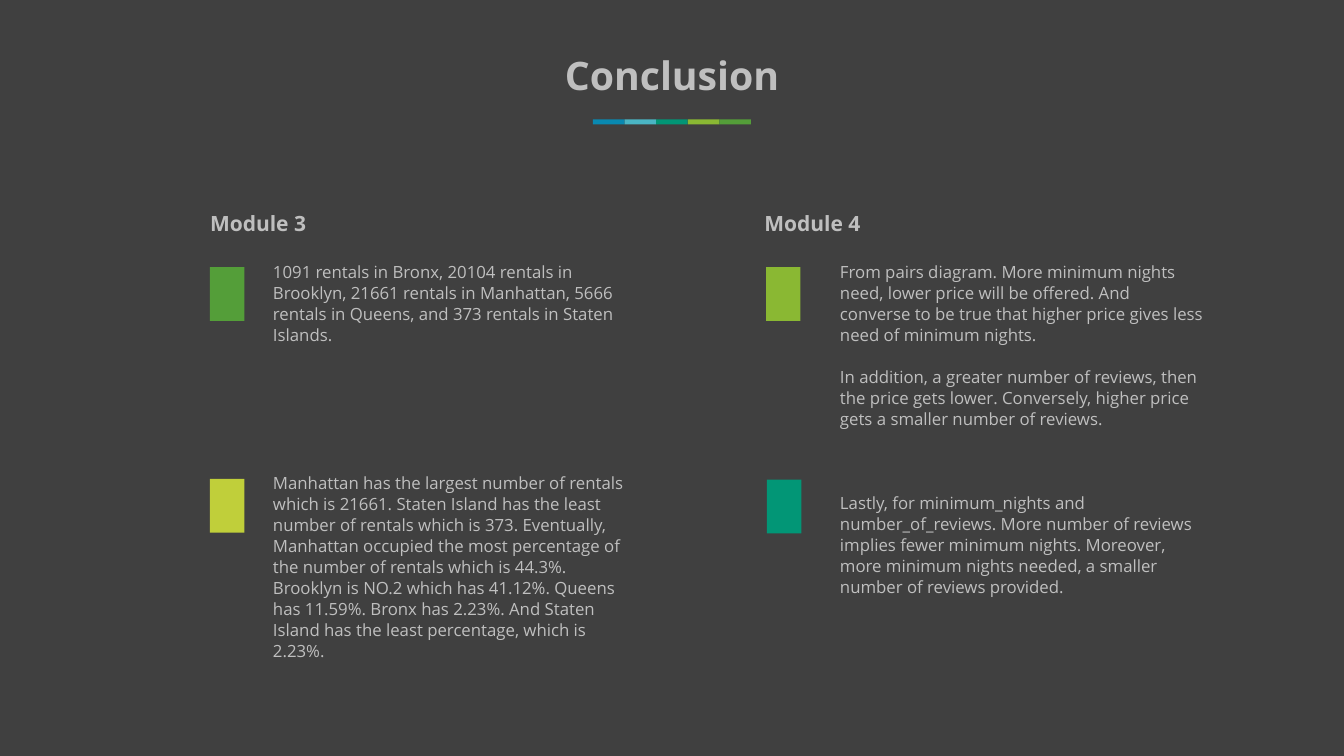
from dataclasses import dataclass

from pptx import Presentation
from pptx.dml.color import RGBColor
from pptx.enum.shapes import MSO_SHAPE
from pptx.enum.text import MSO_ANCHOR, MSO_AUTO_SIZE, PP_ALIGN
from pptx.oxml.ns import qn
from pptx.util import Inches, Pt

RECTANGLE = MSO_SHAPE.RECTANGLE
TOP, MIDDLE = MSO_ANCHOR.TOP, MSO_ANCHOR.MIDDLE
LEFT, CENTER = PP_ALIGN.LEFT, PP_ALIGN.CENTER
NO_AUTOFIT = MSO_AUTO_SIZE.NONE

WIDTH, HEIGHT = Inches(13.333), Inches(7.5)
COLUMNS, ROWS = 16, 9
COMPARISON_LAYOUT = 4


@dataclass(frozen=True)
class Theme:
    font: str = "Open Sans"
    background: str = "404040"
    text: str = "BFBFBF"
    blue: str = "0989B1"
    sky: str = "4AB5C4"
    teal: str = "029676"
    lime: str = "8AB833"
    green: str = "549E39"
    yellow: str = "C0CF3A"
    title_size: int = 28
    heading_size: int = 15
    body_size: int = 12
    line_height: int = 15


THEME = Theme()

BRONX_TO_STATEN = (
    "1091 rentals in Bronx, 20104 rentals in Brooklyn, 21661 rentals in "
    "Manhattan, 5666 rentals in Queens, and 373 rentals in Staten Islands."
)
SHARES = (
    "Manhattan has the largest number of rentals which is 21661. Staten Island "
    "has the least number of rentals which is 373. Eventually, Manhattan "
    "occupied the most percentage of the number of rentals which is 44.3%. "
    "Brooklyn is NO.2 which has 41.12%. Queens has 11.59%. Bronx has 2.23%. "
    "And Staten Island has the least percentage, which is 2.23%."
)
PAIRS = (
    "From pairs diagram. More minimum nights need, lower price will be offered. "
    "And converse to be true that higher price gives less need of minimum nights."
)
REVIEWS = (
    "In addition, a greater number of reviews, then the price gets lower. "
    "Conversely, higher price gets a smaller number of reviews."
)
NIGHTS = (
    "Lastly, for minimum_nights and number_of_reviews. More number of reviews "
    "implies fewer minimum nights. Moreover, more minimum nights needed, a "
    "smaller number of reviews provided."
)


def grid(column, row, columns, rows):
    return (
        round(WIDTH * column / COLUMNS),
        round(HEIGHT * row / ROWS),
        round(WIDTH * columns / COLUMNS),
        round(HEIGHT * rows / ROWS),
    )


def place(shape, box):
    shape.left, shape.top, shape.width, shape.height = box


def add_block(shapes, box, color):
    block = shapes.add_shape(RECTANGLE, *box)
    block.shadow.inherit = False
    block.fill.solid()
    block.fill.fore_color.rgb = RGBColor.from_string(color)
    block.line.fill.background()


def prepare_frame(shape, anchor):
    frame = shape.text_frame
    frame.word_wrap = True
    frame.auto_size = NO_AUTOFIT
    frame.vertical_anchor = anchor
    frame.margin_left = frame.margin_right = 0
    frame.margin_top = frame.margin_bottom = 0
    return frame


def write(paragraph, text, size, bold=False, align=LEFT, before=0, spacing=None):
    properties = paragraph._p.get_or_add_pPr()
    properties.set("marL", "0")
    properties.set("indent", "0")
    properties.append(properties.makeelement(qn("a:buNone"), {}))
    paragraph.alignment = align
    paragraph.space_before = Pt(before)
    if spacing:
        paragraph.line_spacing = Pt(spacing)
    run = paragraph.add_run()
    run.text = text
    run.font.name = THEME.font
    run.font.size = Pt(size)
    run.font.bold = bold
    run.font.color.rgb = RGBColor.from_string(THEME.text)


def fill_line(shape, box, text, size, align=LEFT):
    place(shape, box)
    frame = prepare_frame(shape, MIDDLE)
    write(frame.paragraphs[0], text, size, bold=True, align=align)


def fill_body(shape, box, passages):
    place(shape, box)
    frame = prepare_frame(shape, TOP)
    for index, (text, before) in enumerate(passages):
        paragraph = frame.add_paragraph() if index else frame.paragraphs[0]
        write(paragraph, text, THEME.body_size, before=before,
              spacing=THEME.line_height)


def add_title_bar(slide):
    group = slide.shapes.add_group_shape()
    colors = (THEME.blue, THEME.sky, THEME.teal, THEME.lime, THEME.green)
    step = 0.376
    start = (COLUMNS - step * len(colors)) / 2
    for index, color in enumerate(colors):
        add_block(group.shapes, grid(start + index * step, 1.42, step, 0.06), color)


def main():
    presentation = Presentation()
    presentation.slide_width, presentation.slide_height = WIDTH, HEIGHT
    slide = presentation.slides.add_slide(
        presentation.slide_layouts[COMPARISON_LAYOUT])
    slide.background.fill.solid()
    slide.background.fill.fore_color.rgb = RGBColor.from_string(THEME.background)
    title, left_heading, left_body, right_heading, right_body = slide.placeholders

    fill_line(title, grid(3.25, 0.6, 9.5, 0.59), "Conclusion",
              THEME.title_size, CENTER)
    add_title_bar(slide)

    for heading, column, text in (
        (left_heading, 2.5, "Module 3"),
        (right_heading, 9.1, "Module 4"),
    ):
        fill_line(heading, grid(column, 2.51, 2.1, 0.3), text, THEME.heading_size)

    for column, row, color in (
        (2.5, 3.18, THEME.green),
        (2.5, 5.7, THEME.yellow),
        (9.12, 3.18, THEME.lime),
        (9.13, 5.71, THEME.teal),
    ):
        add_block(slide.shapes, grid(column, row, 0.41, 0.64), color)

    gap = THEME.line_height
    shares_box = grid(3.25, 5.62, 4.35, 0.9)
    fill_body(left_body, grid(3.25, 3.1, 4.35, 0.9), [(BRONX_TO_STATEN, 0)])
    fill_body(slide.shapes.add_textbox(*shares_box), shares_box, [(SHARES, 0)])
    fill_body(right_body, grid(10, 3.11, 4.35, 0.9),
              [(PAIRS, 0), (REVIEWS, gap), (NIGHTS, 3 * gap)])

    presentation.save("out.pptx")


if __name__ == "__main__":
    main()
